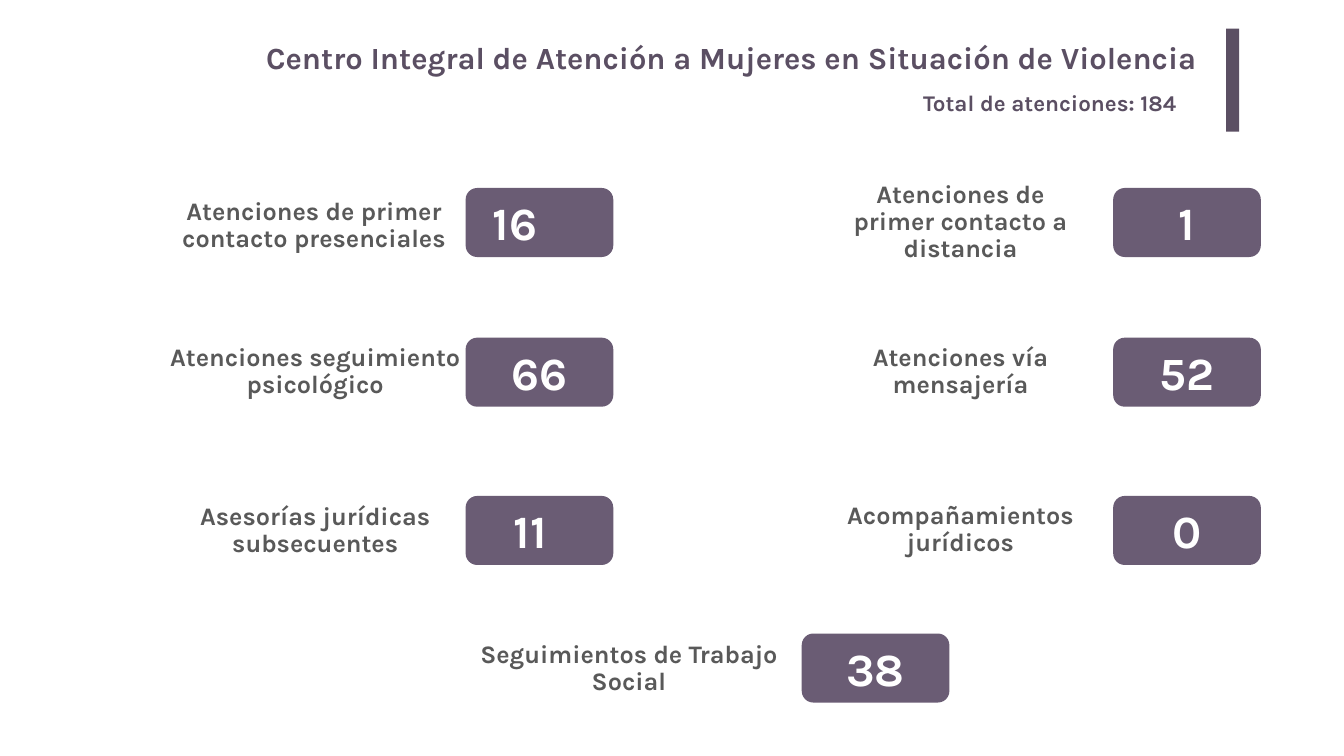
import pptx
import pptx.util
from pptx.dml.color import RGBColor
from pptx.enum.shapes import MSO_SHAPE
from pptx.enum.text import MSO_ANCHOR, MSO_AUTO_SIZE, PP_ALIGN

PX = 9144
DARK = RGBColor(0x5B, 0x4F, 0x63)
PURPLE = RGBColor(0x6A, 0x5C, 0x74)
GRAY = RGBColor(0x59, 0x59, 0x59)
WHITE = RGBColor(0xFF, 0xFF, 0xFF)

TITLE = {"size": pptx.util.Pt(44), "color": DARK}
TOTAL = {"size": pptx.util.Pt(32), "color": DARK}
LABEL = {"size": pptx.util.Pt(36), "color": GRAY}
VALUE = {"size": pptx.util.Pt(66), "color": WHITE}

CARD_W, CARD_H = 293, 137
LEFT, RIGHT = 924, 2209
ROWS = (373, 670, 984)
CARDS = [
    (LEFT, ROWS[0], "16", "Atenciones de primer contacto presenciales", (-575, 7, 548, 137)),
    (RIGHT, ROWS[0], "1", "Atenciones de primer contacto a distancia", (-561, 8, 516, 121)),
    (LEFT, ROWS[1], "66", "Atenciones seguimiento psicológico", (-689, 42, 781, 53)),
    (RIGHT, ROWS[1], "52", "Atenciones vía mensajería", (-599, 16, 592, 105)),
    (LEFT, ROWS[2], "11", "Asesorías jurídicas subsecuentes", (-601, 29, 605, 80)),
    (RIGHT, ROWS[2], "0", "Acompañamientos jurídicos", (-626, 36, 646, 64)),
    (1591, 1257, "38", "Seguimientos de Trabajo Social", (-667, 0, 648, 141)),
]
VALUE_FORMATS = {"16": {"align": PP_ALIGN.LEFT}, "11": {"right": 46}}


def px(*lengths):
    return [pptx.util.Emu(n * PX) for n in lengths]


def write(sp, text, style, align=PP_ALIGN.CENTER, anchor=MSO_ANCHOR.TOP,
          spacing=1.0, inset=(10, 5), right=None):
    tf = sp.text_frame
    side, top = px(*inset)
    frame = {
        "word_wrap": True, "auto_size": MSO_AUTO_SIZE.NONE, "vertical_anchor": anchor,
        "margin_left": side, "margin_right": px(right)[0] if right else side,
        "margin_top": top, "margin_bottom": top,
    }
    for name, value in frame.items():
        setattr(tf, name, value)
    p = tf.paragraphs[0]
    p.alignment = align
    p.line_spacing = spacing
    r = p.add_run()
    r.text = text
    font = {"name": "Karla", "bold": True, "size": style["size"]}
    for name, value in font.items():
        setattr(r.font, name, value)
    r.font.color.rgb = style["color"]


def add_box(s, kind, box, color):
    sp = s.shapes.add_shape(kind, *px(*box))
    sp.shadow.inherit = False
    sp.fill.solid()
    sp.fill.fore_color.rgb = color
    sp.line.fill.background()
    return sp


def add_header(s, x, y):
    sp = s.shapes.title
    sp.left, sp.top, sp.width, sp.height = px(x, y + 10, 2030, 102)
    write(sp, "Centro Integral de Atención a Mujeres en Situación de Violencia",
          TITLE, align=PP_ALIGN.RIGHT, inset=(20, 10))
    add_box(s, MSO_SHAPE.RECTANGLE, (x + 2067, y, 26, 204), DARK)
    sp = s.shapes.add_textbox(*px(x + 1456, y + 114, 592, 64))
    write(sp, "Total de atenciones: 184", TOTAL, align=PP_ALIGN.LEFT)


def add_card(s, x, y, value, label, label_box):
    dx, dy, w, h = label_box
    sp = s.shapes.add_textbox(*px(x + dx, y + dy, w, h))
    write(sp, label, LABEL, anchor=MSO_ANCHOR.MIDDLE, spacing=0.9)
    add_box(s, MSO_SHAPE.ROUNDED_RECTANGLE, (x, y, CARD_W, CARD_H), PURPLE)
    sp = s.shapes.add_textbox(*px(x + 44, y + 8, 204, 121))
    write(sp, value, VALUE, **VALUE_FORMATS.get(value, {}))


def main():
    prs = pptx.Presentation()
    prs.slide_width, prs.slide_height = px(2667, 1500)
    s = prs.slides.add_slide(prs.slide_layouts[5])
    add_header(s, 366, 57)
    for card in CARDS:
        add_card(s, *card)
    prs.save("out.pptx")


if __name__ == "__main__":
    main()
